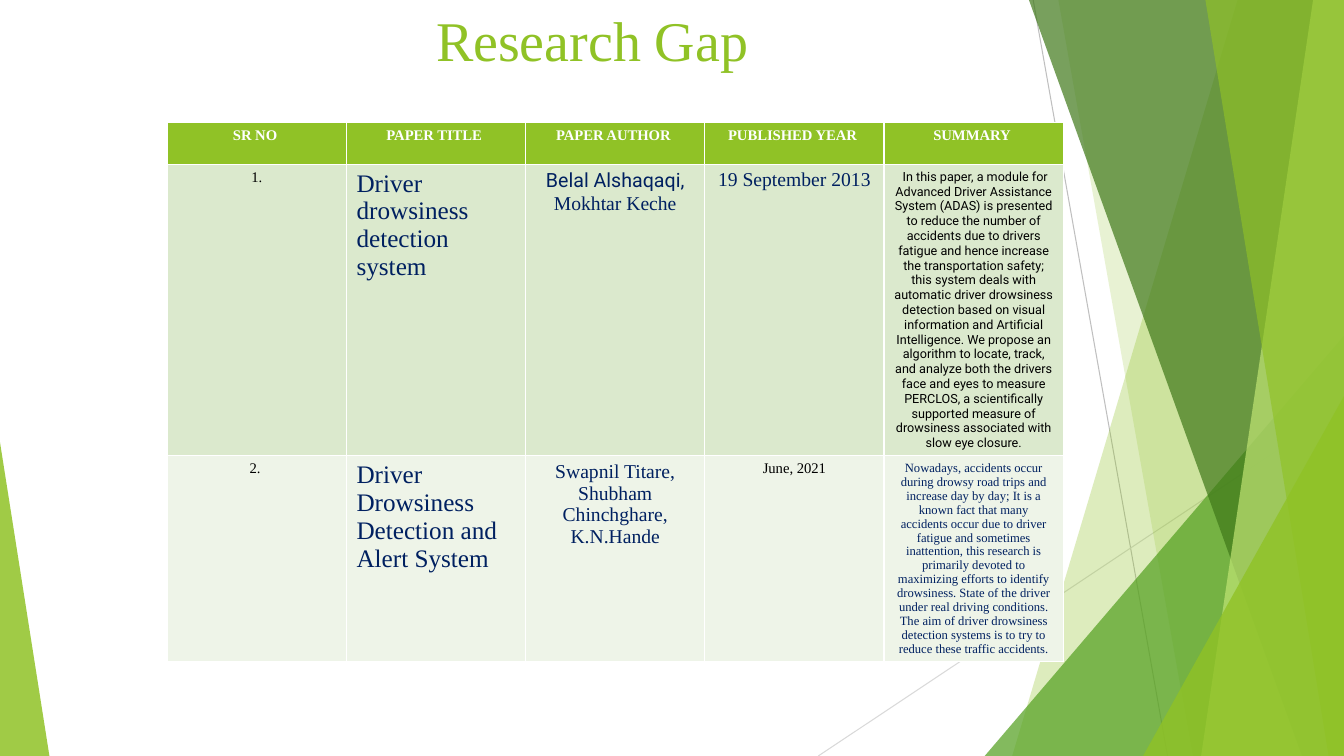
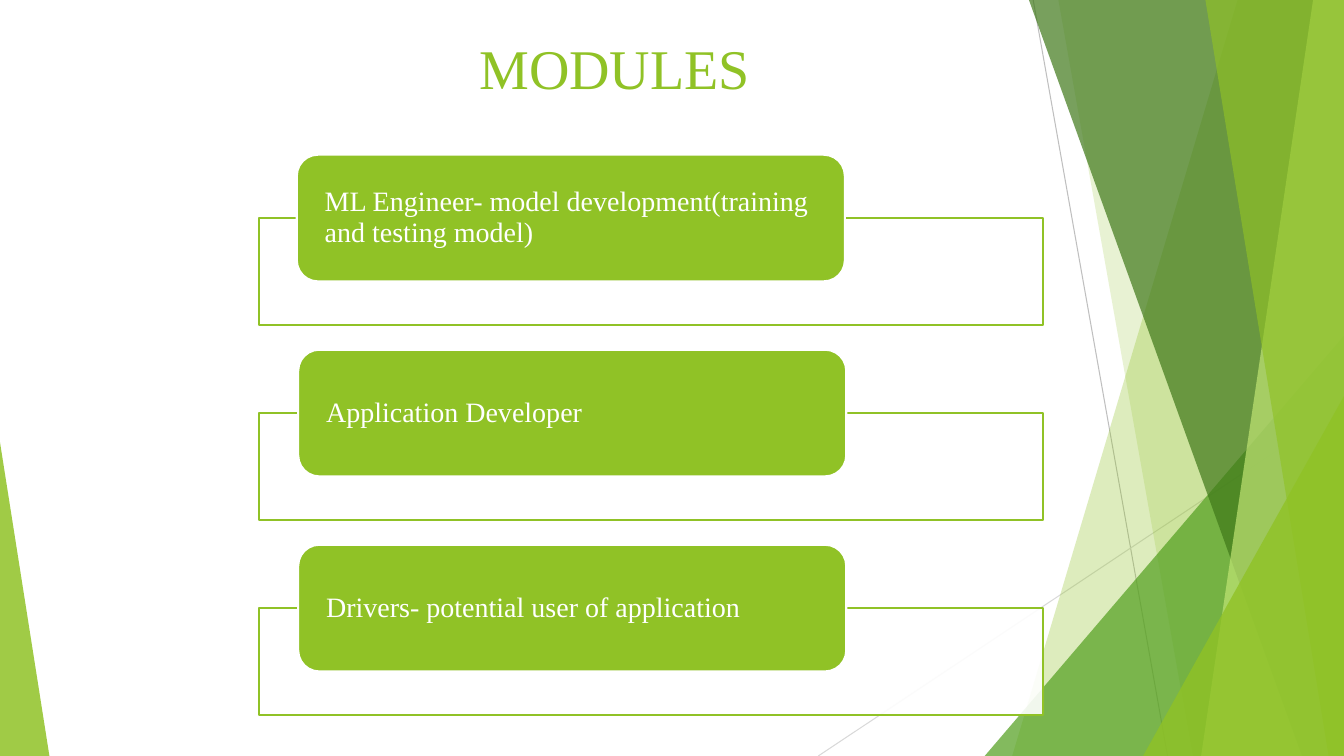
"""Build two slides on driver drowsiness: a research gap table and the modules."""
from dataclasses import dataclass
from typing import NamedTuple

from lxml import etree
from pptx import Presentation
from pptx.dml.color import RGBColor
from pptx.enum import shapes as kinds, text as modes
from pptx.oxml.ns import qn
from pptx.shapes.autoshape import Shape
from pptx.slide import Slide, SlideLayout
from pptx.text.text import TextFrame
from pptx.util import Pt

WIDE, HIGH = 960, 540
TIMES, ROBOTO = "Times New Roman", "Roboto"
LIME = RGBColor(0x90, 0xC2, 0x26)
GREEN = RGBColor(0x54, 0xA0, 0x21)
MOSS = RGBColor(0x3F, 0x78, 0x19)
PALE = RGBColor(0xC0, 0xE4, 0x74)
NAVY = RGBColor(0x00, 0x20, 0x60)
BLACK = RGBColor(0x00, 0x00, 0x00)
WHITE = RGBColor(0xFF, 0xFF, 0xFF)
GRAY = RGBColor(0xBF, 0xBF, 0xBF)
SILVER = RGBColor(0xD9, 0xD9, 0xD9)
BANDS = (RGBColor(0xDB, 0xE9, 0xCD), RGBColor(0xEE, 0xF4, 0xE8))
LEFT, CENTER = modes.PP_ALIGN.LEFT, modes.PP_ALIGN.CENTER
MIDDLE, TOP = modes.MSO_ANCHOR.MIDDLE, modes.MSO_ANCHOR.TOP


@dataclass(frozen=True)
class Ray:
    """A thin straight line."""
    start: tuple[float, float]
    end: tuple[float, float]
    color: RGBColor


@dataclass(frozen=True)
class Shard:
    """A full-height panel with a slanted left edge."""
    top: float
    base: float
    color: RGBColor
    alpha: int


@dataclass(frozen=True)
class Wedge:
    """A right triangle standing on the bottom edge."""
    left: float
    top: float
    width: float
    peak: int
    color: RGBColor
    alpha: int


class Line(NamedTuple):
    """A paragraph in a table cell."""
    words: str
    size: float = 10.5
    color: RGBColor = BLACK
    font: str = TIMES
    bold: bool = False
    align: modes.PP_ALIGN = CENTER


@dataclass(frozen=True)
class Module:
    """A labelled tab on a frame."""
    label: str
    left: float


RAYS = (
    Ray((738, 0), (834, HIGH), GRAY),
    Ray((WIDE, 290), (584.5, HIGH), SILVER),
)
PANES = (
    Shard(884.2, 722.9, LIME, 30),
    Shard(756, 851.8, LIME, 20),
    Wedge(703.4, 239.8, 256.6, 1, GREEN, 72),
    Shard(735.2, 929.5, MOSS, 70),
    Shard(938.2, 858.2, PALE, 70),
    Shard(861.1, 949, LIME, 65),
    Wedge(816.5, 283, 143.5, 1, LIME, 80),
    Wedge(0, 316, 35.3, 0, LIME, 85),
)
HEADS = ("SR NO ", "PAPER TITLE ", "PAPER AUTHOR ", "PUBLISHED YEAR ", "SUMMARY ")
PAPERS = (
    (
        [Line("1.")],
        [Line("Driver drowsiness detection system", 18, NAVY, align=LEFT)],
        [Line("Belal Alshaqaqi,", 14, NAVY, ROBOTO), Line("Mokhtar Keche", 14, NAVY)],
        [Line("19 September 2013", 14, NAVY)],
        [Line(
            " In this paper, a module for Advanced Driver Assistance System (ADAS) is "
            "presented to reduce the number of accidents due to drivers fatigue and hence "
            "increase the transportation safety; this system deals with automatic driver "
            "drowsiness detection based on visual information and Artificial Intelligence. "
            "We propose an algorithm to locate, track, and analyze both the drivers face "
            "and eyes to measure PERCLOS, a scientifically supported measure of drowsiness "
            "associated with slow eye closure.", 9, font=ROBOTO)],
    ),
    (
        [Line("2. ")],
        [Line("Driver Drowsiness Detection and Alert System", 18, NAVY, align=LEFT)],
        [Line(name, 14, NAVY)
         for name in ("Swapnil Titare,", "Shubham Chinchghare,", "K.N.Hande")],
        [Line("June, 2021")],
        [Line(
            "Nowadays, accidents occur during drowsy road trips and increase day by day; "
            "It is a known fact that many accidents occur due to driver fatigue and "
            "sometimes inattention, this research is primarily devoted to maximizing "
            "efforts to identify drowsiness. State of the driver under real driving "
            "conditions. The aim of driver drowsiness detection systems is to try to "
            "reduce these traffic accidents.", 9, NAVY)],
    ),
)
HEIGHTS = (30, 208, 147)
MODULES = (
    Module("ML Engineer- model development(training and testing model)", 212),
    Module("Application Developer", 213),
    Module("Drivers- potential user of application", 213),
)
PITCH = 139.3


def put(frame: TextFrame, words: str, *, size: float, color: RGBColor,
        font: str = TIMES, bold: bool = False, align: modes.PP_ALIGN = LEFT,
        space: float = 1.0) -> None:
    """Write one formatted paragraph into a frame."""
    para = frame.add_paragraph() if frame.text else frame.paragraphs[0]
    para.alignment, para.line_spacing = align, space
    run = para.add_run()
    run.text = words
    face = run.font
    face.name, face.size, face.bold = font, Pt(size), bold
    face.color.rgb = color


def paint(shape: Shape, fill: RGBColor, alpha: int = 100,
          edge: RGBColor | None = None) -> None:
    """Set the fill, opacity and outline of a shape."""
    shape.shadow.inherit = False
    shape.fill.solid()
    shape.fill.fore_color.rgb = fill
    if alpha < 100:
        tint = shape.element.spPr.find(qn("a:solidFill")).find(qn("a:srgbClr"))
        etree.SubElement(tint, qn("a:alpha"), val=str(alpha * 1000))
    if edge is None:
        shape.line.fill.background()
    else:
        shape.line.color.rgb = edge
        shape.line.width = Pt(1.5)


def adorn(slide: Slide, layout: SlideLayout) -> None:
    """Draw the shared green panes and move them to the layout."""
    group = slide.shapes.add_group_shape()
    parts = group.shapes
    for ray in RAYS:
        ends = [Pt(v) for v in ray.start + ray.end]
        line = parts.add_connector(kinds.MSO_CONNECTOR.STRAIGHT, *ends)
        line.line.color.rgb = ray.color
        line.line.width = Pt(0.75)
        etree.SubElement(line.element.spPr, qn("a:effectLst"))
    for pane in PANES:
        if isinstance(pane, Shard):
            path = parts.build_freeform(pane.top, 0, scale=Pt(1))
            path.add_line_segments([(WIDE, 0), (WIDE, HIGH), (pane.base, HIGH)])
            shape = path.convert_to_shape()
        else:
            shape = parts.add_shape(
                kinds.MSO_SHAPE.ISOSCELES_TRIANGLE, Pt(pane.left), Pt(pane.top),
                Pt(pane.width), Pt(HIGH - pane.top))
            shape.adjustments[0] = pane.peak
        paint(shape, pane.color, pane.alpha)
    layout.shapes.element.insert(2, group.element)


def head(slide: Slide, words: str, left: float, top: float) -> None:
    """Place and format the slide title."""
    title = slide.shapes.title
    title.left, title.top = Pt(left), Pt(top)
    title.width, title.height = Pt(672), Pt(119)
    frame = title.text_frame
    frame.auto_size = modes.MSO_AUTO_SIZE.NONE
    frame.vertical_anchor = TOP
    put(frame, words, size=40, color=LIME, align=CENTER)


def gaps(slide: Slide) -> None:
    """Draw the table of papers."""
    rows = [[[Line(name, color=WHITE, bold=True)] for name in HEADS], *PAPERS]
    grid = slide.shapes.add_table(
        len(rows), len(HEADS), Pt(119.5), Pt(87.5), Pt(640), Pt(sum(HEIGHTS))).table
    for r, (row, tall, fill) in enumerate(zip(rows, HEIGHTS, (LIME, *BANDS))):
        grid.rows[r].height = Pt(tall)
        for c, lines in enumerate(row):
            cell = grid.cell(r, c)
            cell.fill.solid()
            cell.fill.fore_color.rgb = fill
            for line in lines:
                put(cell.text_frame, **line._asdict())


def stack(slide: Slide) -> None:
    """Draw the modules at equal steps."""
    for i, module in enumerate(MODULES):
        top = 155.5 + i * PITCH
        box = slide.shapes.add_shape(
            kinds.MSO_SHAPE.RECTANGLE, Pt(185), Pt(top), Pt(560), Pt(77))
        paint(box, WHITE, 90, LIME)
        tab = slide.shapes.add_shape(
            kinds.MSO_SHAPE.ROUNDED_RECTANGLE, Pt(module.left), Pt(top - 45),
            Pt(391.5), Pt(90.5))
        paint(tab, LIME, edge=WHITE)
        frame = tab.text_frame
        frame.word_wrap = True
        frame.vertical_anchor = MIDDLE
        frame.margin_left = frame.margin_right = Pt(15.5)
        frame.margin_top = frame.margin_bottom = Pt(0)
        put(frame, module.label, size=20, color=WHITE, space=0.9)


def main() -> None:
    """Build and save the deck."""
    deck = Presentation()
    deck.slide_width, deck.slide_height = Pt(WIDE), Pt(HIGH)
    layout = deck.slide_layouts[5]
    first, second = (deck.slides.add_slide(layout) for _ in range(2))
    adorn(first, layout)
    head(first, "Research Gap", 87, 0.5)
    gaps(first)
    head(second, "MODULES", 103, 20)
    stack(second)
    deck.save("out.pptx")


if __name__ == "__main__":
    main()
